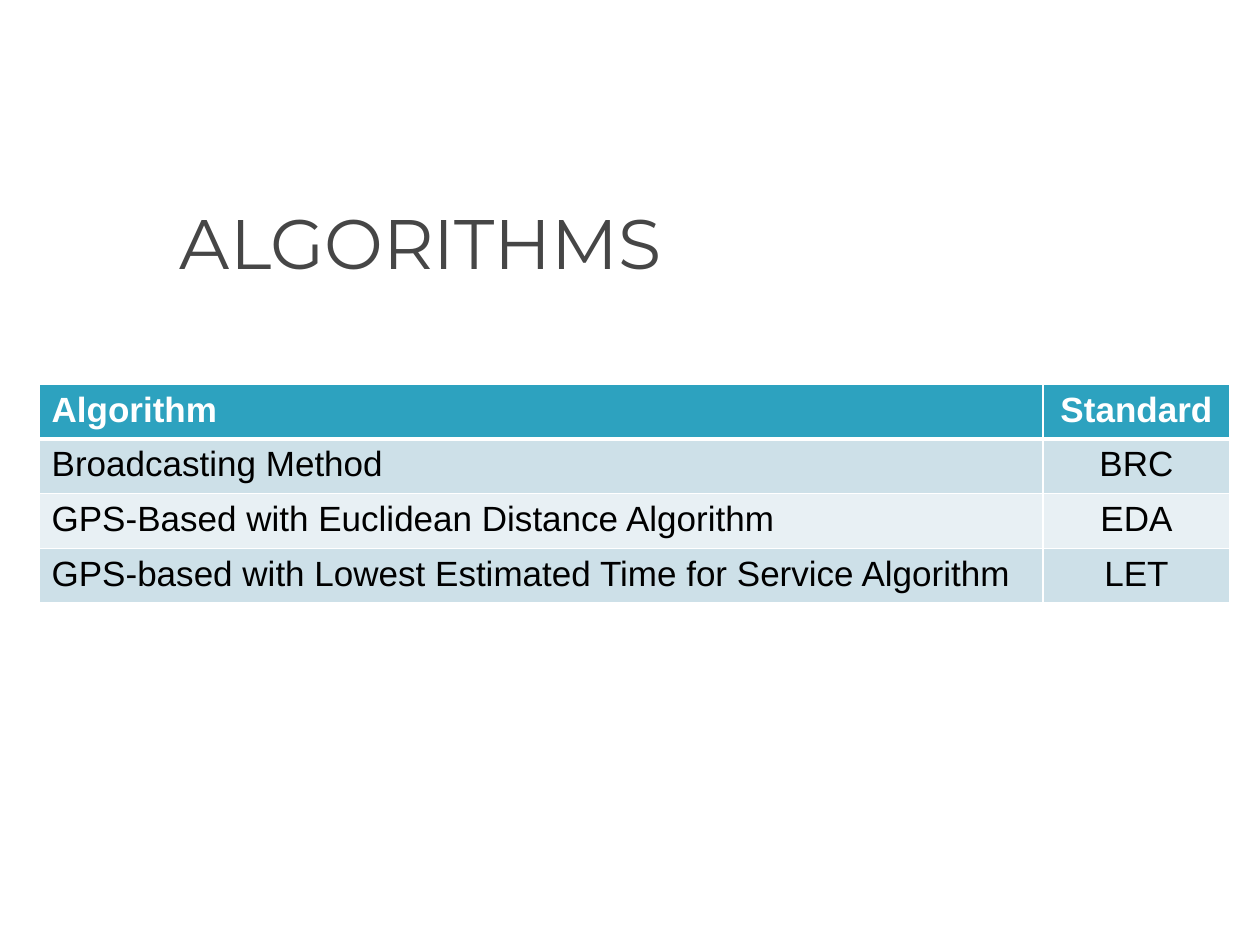
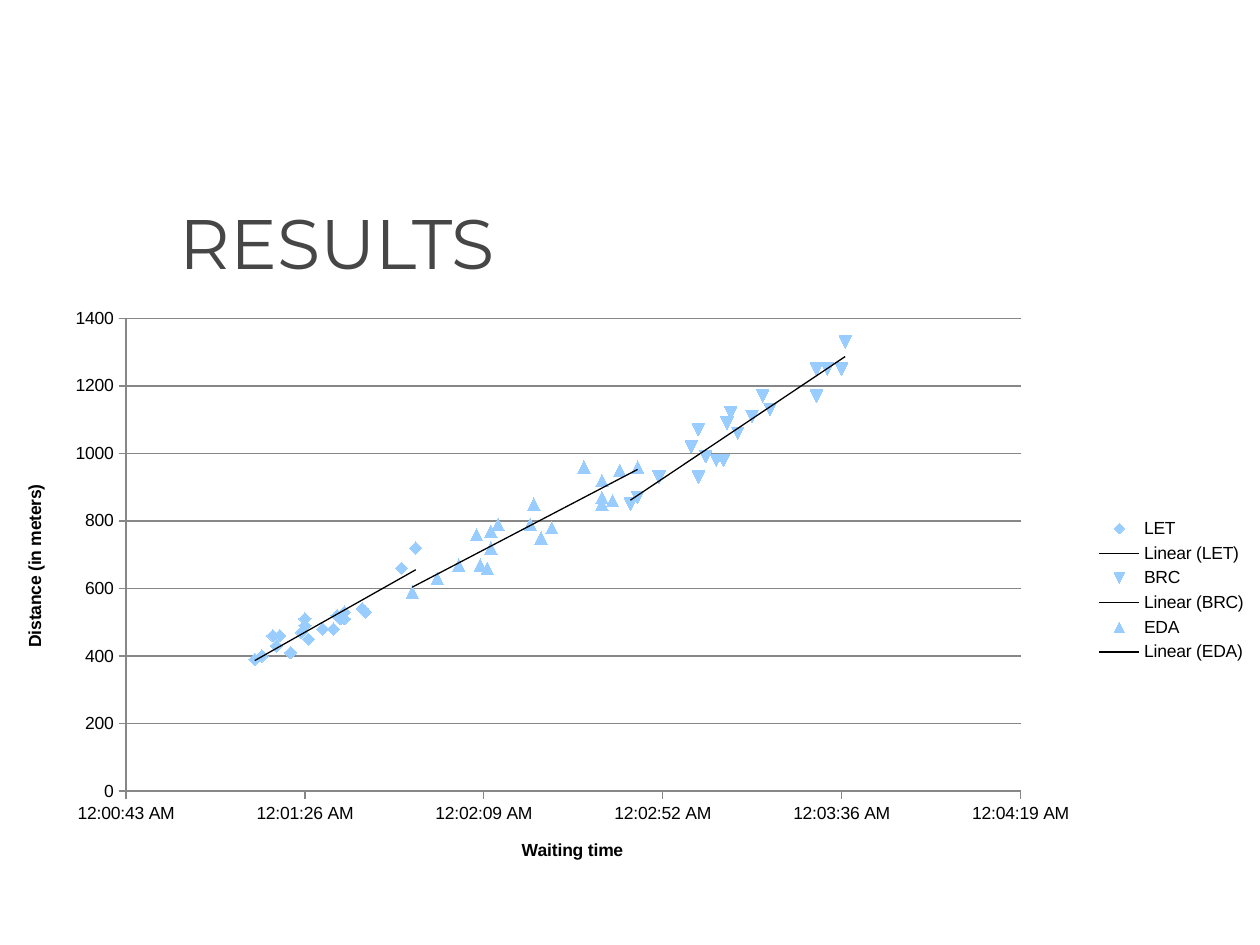
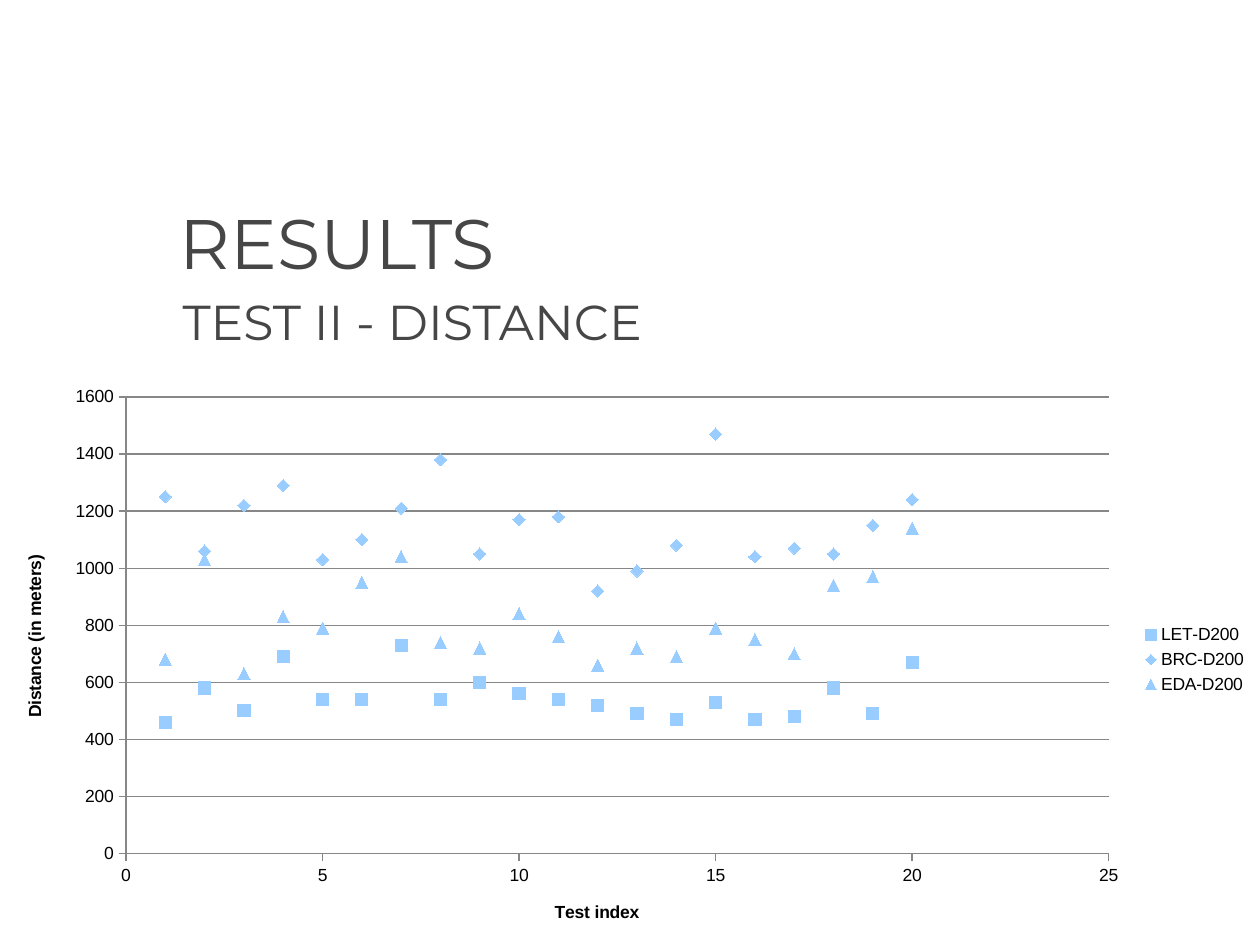
from pptx import Presentation
from pptx.chart.data import XyChartData
from pptx.dml.color import RGBColor
from pptx.enum.chart import XL_CHART_TYPE, XL_LEGEND_POSITION, XL_MARKER_STYLE, XL_TICK_MARK
from pptx.enum.text import MSO_ANCHOR, PP_ALIGN
from pptx.oxml import parse_xml
from pptx.oxml.ns import nsdecls, qn
from pptx.util import Inches, Pt

HEADING_FONT = "Montserrat"
BODY_FONT = "Arial"
HEADING = "464646"
WHITE = "FFFFFF"
BLACK = "000000"
TEAL = "2DA2BF"
BANDS = ("CDE0E8", "E8F0F4")
GRID = "878787"
MARKER = "99CCFF"

ALGORITHMS = [
    ("Algorithm", "Standard"),
    ("Broadcasting Method", "BRC"),
    ("GPS-Based with Euclidean Distance Algorithm", "EDA"),
    ("GPS-based with Lowest Estimated Time for Service Algorithm", "LET"),
]

WAITING_SERIES = [
    ("LET", XL_MARKER_STYLE.DIAMOND,
     [0.0011, 0.00105, 0.00099, 0.001, 0.00117, 0.00091, 0.00101, 0.00111, 0.001, 0.00116,
      0.00109, 0.00086, 0.00093, 0.00111, 0.00127, 0.00092, 0.00108, 0.00088, 0.00131, 0.00096],
     [510, 480, 470, 490, 530, 460, 450, 510, 510, 540,
      520, 390, 460, 530, 660, 430, 480, 400, 720, 410]),
    ("BRC", XL_MARKER_STYLE.AUTOMATIC,
     [0.0025, 0.00193, 0.00191, 0.00221, 0.00246, 0.0023, 0.00199, 0.00243, 0.00218, 0.00225,
      0.00243, 0.00212, 0.00217, 0.00251, 0.00219, 0.0021, 0.00215, 0.00208, 0.00228, 0.0021],
     [1250, 870, 850, 1060, 1250, 1130, 930, 1170, 1090, 1110,
      1250, 990, 980, 1330, 1120, 1070, 980, 1020, 1170, 930]),
    ("EDA", XL_MARKER_STYLE.TRIANGLE,
     [0.00143, 0.00178, 0.00152, 0.00169, 0.00152, 0.0013, 0.00163, 0.00166, 0.00188, 0.00183,
      0.00186, 0.00137, 0.00151, 0.00164, 0.00183, 0.00154, 0.00183, 0.00148, 0.00193, 0.00149],
     [670, 960, 720, 780, 770, 590, 790, 750, 950, 870,
      860, 630, 660, 850, 920, 790, 850, 760, 960, 670]),
]

TEST_INDEXES = range(1, 21)
DISTANCE_SERIES = [
    ("LET-D200", XL_MARKER_STYLE.SQUARE, TEST_INDEXES,
     [460, 580, 500, 690, 540, 540, 730, 540, 600, 560,
      540, 520, 490, 470, 530, 470, 480, 580, 490, 670]),
    ("BRC-D200", XL_MARKER_STYLE.DIAMOND, TEST_INDEXES,
     [1250, 1060, 1220, 1290, 1030, 1100, 1210, 1380, 1050, 1170,
      1180, 920, 990, 1080, 1470, 1040, 1070, 1050, 1150, 1240]),
    ("EDA-D200", XL_MARKER_STYLE.AUTOMATIC, TEST_INDEXES,
     [680, 1030, 630, 830, 790, 950, 1040, 740, 720, 840,
      760, 660, 720, 690, 790, 750, 700, 940, 970, 1140]),
]


def color(value):
    return RGBColor.from_string(value)


def style_font(font, name, size, value, bold=False):
    font.name = name
    font.size = Pt(size)
    font.bold = bold
    font.color.rgb = color(value)


def add_heading(page, text, left, top, width, height, size):
    box = page.shapes.add_textbox(Inches(left), Inches(top), Inches(width), Inches(height))
    frame = box.text_frame
    frame.word_wrap = True
    frame.vertical_anchor = MSO_ANCHOR.MIDDLE
    frame.text = text
    style_font(frame.paragraphs[0].runs[0].font, HEADING_FONT, size, HEADING)


def add_page(deck, title):
    page = deck.slides.add_slide(deck.slide_layouts[6])
    add_heading(page, title, 1.33, 1.42, 8.42, 1, 40)
    return page


def set_borders(cell, bottom_width):
    properties = cell._tc.get_or_add_tcPr()
    for side, width in (("L", 1), ("R", 1), ("T", 1), ("B", bottom_width)):
        properties.append(parse_xml(
            f'<a:ln{side} {nsdecls("a")} w="{Pt(width)}"><a:solidFill>'
            f'<a:srgbClr val="{WHITE}"/></a:solidFill></a:ln{side}>'))


def add_algorithm_table(page, left, top, column_widths, row_height):
    table = page.shapes.add_table(
        len(ALGORITHMS), len(column_widths), Inches(left), Inches(top),
        Inches(sum(column_widths)), Inches(row_height * len(ALGORITHMS))).table
    table.horz_banding = False
    for column, width in zip(table.columns, column_widths):
        column.width = Inches(width)
    for row_index, texts in enumerate(ALGORITHMS):
        header = row_index == 0
        for column_index, text in enumerate(texts):
            cell = table.cell(row_index, column_index)
            set_borders(cell, 3 if header else 1)
            cell.fill.solid()
            cell.fill.fore_color.rgb = color(TEAL if header else BANDS[(row_index - 1) % 2])
            cell.text_frame.text = text
            para = cell.text_frame.paragraphs[0]
            para.alignment = PP_ALIGN.CENTER if column_index else PP_ALIGN.LEFT
            style_font(para.runs[0].font, BODY_FONT, 20, WHITE if header else BLACK, header)


def style_line(line):
    line.color.rgb = color(GRID)
    line.width = Pt(0.75)


def style_axis(axis, title, scale, number_format, rotation):
    axis.minimum_scale, axis.maximum_scale, axis.major_unit = scale
    axis.major_tick_mark = XL_TICK_MARK.OUTSIDE
    axis.minor_tick_mark = XL_TICK_MARK.NONE
    axis.tick_labels.number_format = number_format
    axis.tick_labels.number_format_is_linked = False
    style_line(axis.format.line)
    frame = axis.axis_title.text_frame
    frame.text = title
    style_font(frame.paragraphs[0].runs[0].font, BODY_FONT, 10, BLACK, True)
    body = frame._txBody.find(qn("a:bodyPr"))
    body.set("rot", str(rotation))
    body.set("vert", "horz")


def add_trendline(series):
    trendline = parse_xml(
        f'<c:trendline {nsdecls("c", "a")}><c:spPr><a:ln w="{Pt(0.75)}"><a:solidFill>'
        f'<a:srgbClr val="{BLACK}"/></a:solidFill></a:ln></c:spPr>'
        '<c:trendlineType val="linear"/><c:dispRSqr val="0"/><c:dispEq val="0"/></c:trendline>')
    series._element.find(qn("c:xVal")).addprevious(trendline)


def set_plot_layout(chart, plot_box):
    area = chart._chartSpace.find(".//" + qn("c:plotArea"))
    for layout in area.findall(qn("c:layout")):
        area.remove(layout)
    places = "".join(f'<c:{key} val="{value}"/>' for key, value in zip("xywh", plot_box))
    area.insert(0, parse_xml(
        f'<c:layout {nsdecls("c")}><c:manualLayout><c:layoutTarget val="inner"/>'
        f'<c:xMode val="edge"/><c:yMode val="edge"/>{places}</c:manualLayout></c:layout>'))


def add_scatter(page, top, height, groups, x_title, x_scale, x_format, y_scale,
                plot_box, first_index=0, trend=False):
    data = XyChartData()
    for name, marker, x_values, y_values in groups:
        points = data.add_series(name)
        for x_value, y_value in zip(x_values, y_values):
            points.add_data_point(x_value, y_value)
    chart = page.shapes.add_chart(
        XL_CHART_TYPE.XY_SCATTER, Inches(0), Inches(top), Inches(10), Inches(height), data).chart
    chart.has_title = False
    style_font(chart.font, BODY_FONT, 10, BLACK)
    chart.has_legend = True
    chart.legend.position = XL_LEGEND_POSITION.RIGHT
    chart.legend.include_in_layout = False
    style_axis(chart.category_axis, x_title, x_scale, x_format, 0)
    chart.category_axis.has_major_gridlines = False
    style_axis(chart.value_axis, "Distance (in meters)", y_scale, "General", -5400000)
    chart.value_axis.has_major_gridlines = True
    style_line(chart.value_axis.major_gridlines.format.line)
    set_plot_layout(chart, plot_box)
    plot = chart.plots[0]
    plot.vary_by_categories = False
    for index, (series, group) in enumerate(zip(list(plot.series), groups), first_index):
        series._element.find(qn("c:idx")).set("val", str(index))
        series.smooth = False
        series.format.line.fill.background()
        series.marker.style = group[1]
        series.marker.size = 7
        series.marker.format.fill.solid()
        series.marker.format.fill.fore_color.rgb = color(MARKER)
        series.marker.format.line.fill.background()
        if trend:
            add_trendline(series)


def main():
    deck = Presentation()
    deck.slide_width = Inches(10)
    deck.slide_height = Inches(7.5)

    page = add_page(deck, "ALGORITHMS")
    add_algorithm_table(page, 0.31, 3.05, (7.97, 1.48), 0.41)

    page = add_page(deck, "RESULTS")
    add_scatter(page, 2.34, 4.69, WAITING_SERIES, "Waiting time", (0.0005, 0.003, 0.0005),
                "h:mm:ss AM/PM", (0, 1400, 200), (0.1, 0.04, 0.71, 0.8),
                first_index=1, trend=True)

    page = add_page(deck, "RESULTS")
    add_scatter(page, 2.97, 4.53, DISTANCE_SERIES, "Test index", (0, 25, 5),
                "General", (0, 1600, 200), (0.1, 0.04, 0.78, 0.8))
    add_heading(page, "TEST II - DISTANCE", 1.35, 2.2, 8.42, 0.69, 28)

    deck.save("out.pptx")


if __name__ == "__main__":
    main()
